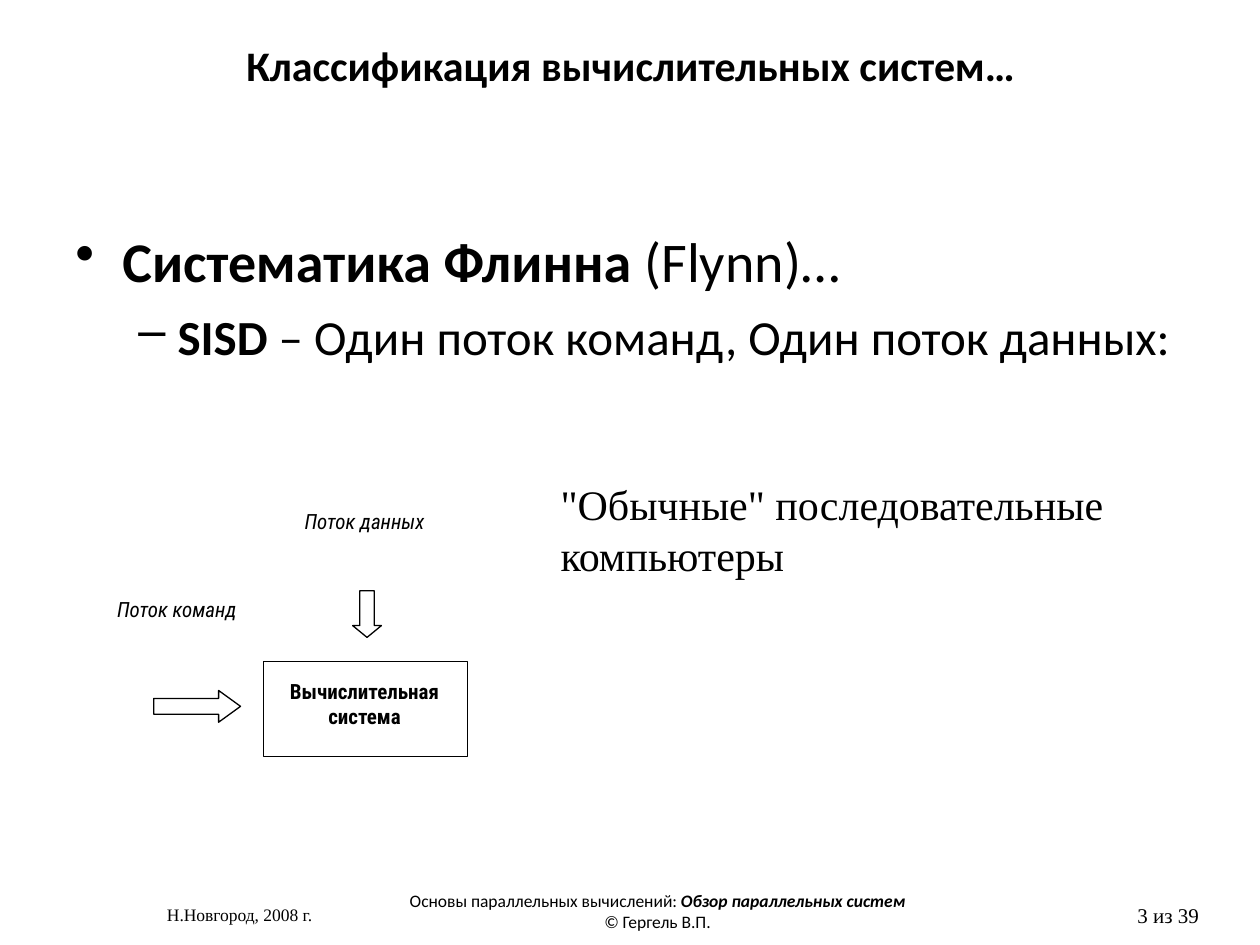
from lxml import etree
from pptx import Presentation
from pptx import util as u
from pptx.dml.color import RGBColor
from pptx.enum import shapes, text
from pptx.oxml.ns import qn

BLACK = RGBColor(0, 0, 0)
WHITE = RGBColor(255, 255, 255)
SANS, SERIF, LABEL = "Calibri", "Times New Roman", "Roboto Condensed"
LEFT, CENTER = text.PP_ALIGN.LEFT, text.PP_ALIGN.CENTER
TOP, MIDDLE = text.MSO_ANCHOR.TOP, text.MSO_ANCHOR.MIDDLE
SHAPE = shapes.MSO_SHAPE


def lengths(box):
    return [u.Cm(value) for value in box]


def add_runs(paragraph, runs, font=SANS, size=12, align=LEFT, bold=False, italic=False):
    """Fill a paragraph with a string or with (string, is_emphasised) pairs."""
    paragraph.alignment = align
    if isinstance(runs, str):
        runs = [(runs, False)]
    for words, emphasised in runs:
        run = paragraph.add_run()
        run.text = words
        run.font.name = font
        run.font.size = u.Pt(size)
        run.font.bold = bold or emphasised
        run.font.italic = italic
        run.font.color.rgb = BLACK


def add_text(parent, box, runs, anchor=TOP, **formatting):
    frame = parent.add_textbox(*lengths(box)).text_frame
    frame.word_wrap = True
    frame.vertical_anchor = anchor
    paragraph = frame.paragraphs[0]
    add_runs(paragraph, runs, **formatting)
    return paragraph


def add_outlined(parent, kind, box, adjustments=()):
    shape = parent.add_shape(kind, *lengths(box))
    shape.shadow.inherit = False
    shape.fill.solid()
    shape.fill.fore_color.rgb = WHITE
    shape.line.color.rgb = BLACK
    shape.line.width = u.Pt(0.75)
    for index, value in enumerate(adjustments):
        shape.adjustments[index] = value


def set_bullet(paragraph, character, level, margin, hanging):
    paragraph.level = level
    properties = paragraph._p.get_or_add_pPr()
    properties.set("marL", str(u.Cm(margin)))
    properties.set("indent", str(-u.Cm(hanging)))
    etree.SubElement(properties, qn("a:buChar")).set("char", character)


def add_body(parent, box):
    paragraph = add_text(parent, box, [("Систематика Флинна", True), (" (Flynn)…", False)], size=32)
    set_bullet(paragraph, "•", 0, 0.95, 0.95)

    frame = parent[-1].text_frame
    paragraph = frame.add_paragraph()
    set_bullet(paragraph, "–", 1, 2.06, 0.79)
    paragraph.space_before = u.Pt(7)
    add_runs(paragraph, [("SISD", True), (" – Один поток команд, Один поток данных:", False)], size=28)


def add_diagram(parent, left, top):
    def place(x, y, width, height):
        return left + x, top + y, width, height

    # Streams and their arrows
    add_text(parent, place(3.78, 0, 3.23, 0.94), "Поток данных", font=LABEL, italic=True)
    add_text(parent, place(0, 1.78, 3.23, 0.91), "Поток команд", font=LABEL, italic=True)
    add_outlined(parent, SHAPE.DOWN_ARROW, place(5, 1.78, 0.58, 0.94), (0.5, 0.41))
    add_outlined(parent, SHAPE.RIGHT_ARROW, place(0.99, 3.79, 1.75, 0.64), (0.5, 0.69))

    # Computing system
    system = parent.add_group_shape().shapes
    add_outlined(system, SHAPE.RECTANGLE, place(3.2, 3.21, 4.11, 1.91))
    add_text(system, place(3.35, 3.43, 3.78, 1.4), "Вычислительная система",
             font=LABEL, bold=True, align=CENTER)


def add_footer(parent, top, height):
    add_text(parent, (2.11, top, 5.44, height), "Н.Новгород, 2008 г.",
             anchor=MIDDLE, font=SERIF, size=10, align=CENTER)

    paragraph = add_text(parent, (7.72, top, 11.07, height), "Основы параллельных вычислений: ",
                         size=10, align=CENTER)
    add_runs(paragraph, "Обзор параллельных систем", size=10, align=CENTER, bold=True, italic=True)
    paragraph.add_line_break()
    add_runs(paragraph, "© Гергель В.П.", size=10, align=CENTER)

    number = add_text(parent, (22.68, top, 2.72, height), "3 из 39", font=SERIF)
    number.line_spacing = 1.5


def main():
    presentation = Presentation()
    presentation.slide_width = u.Cm(25.4)
    presentation.slide_height = u.Cm(19.05)
    slide = presentation.slides.add_slide(presentation.slide_layouts[6])
    parts = slide.shapes

    add_footer(parts, 17.81, 1.24)
    add_body(parts, (1.27, 4.45, 22.86, 9.47))
    add_text(parts, (1.07, 0.53, 23.29, 1.55), "Классификация вычислительных систем…",
             anchor=MIDDLE, size=24, bold=True, align=CENTER)
    add_diagram(parts, 2.11, 10.13)
    add_text(parts, (11.05, 9.53, 12.93, 2.29), '"Обычные" последовательные компьютеры',
             font=SERIF, size=24)

    presentation.save("out.pptx")


if __name__ == "__main__":
    main()
